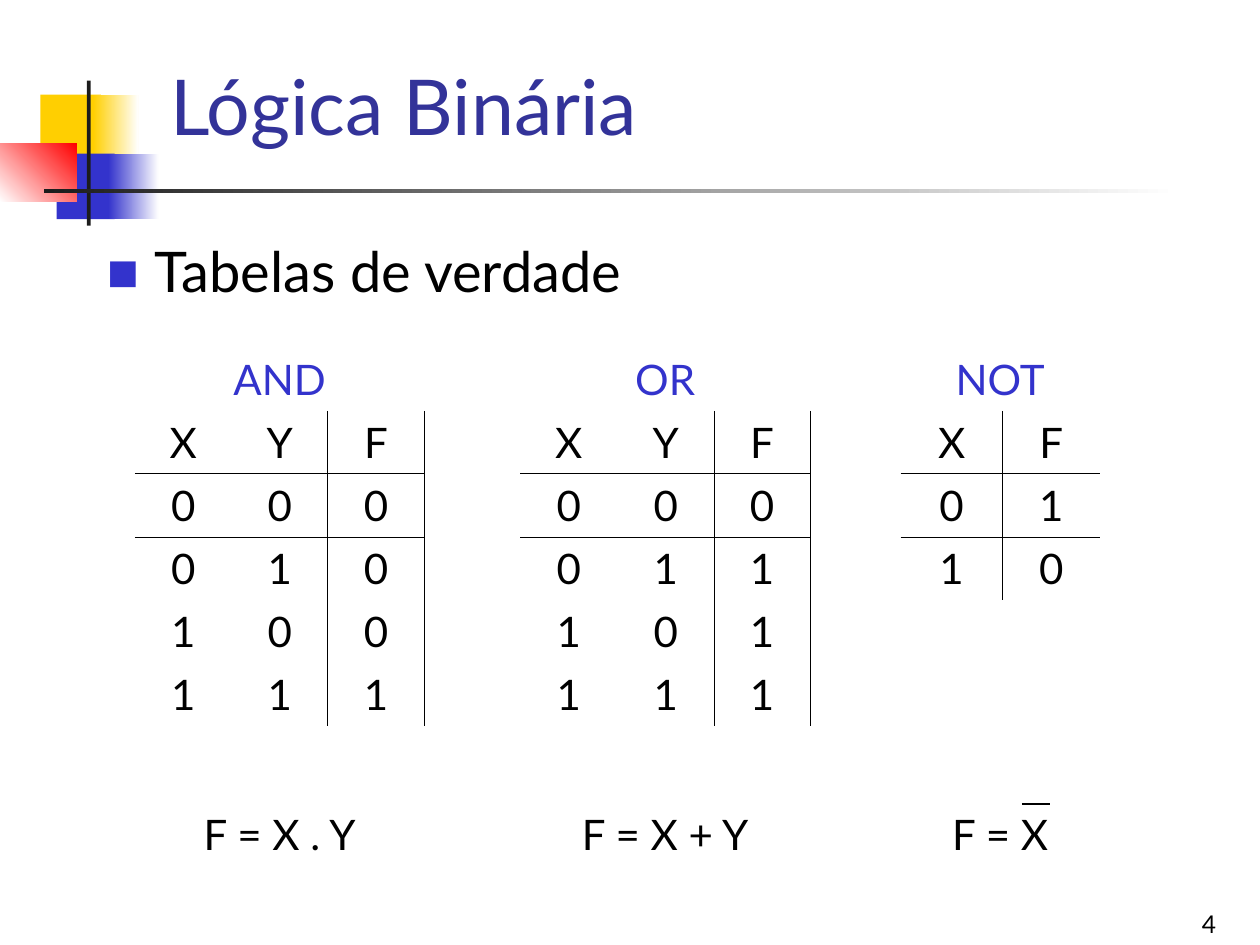
"""Build the slide on truth tables of binary logic."""
from dataclasses import dataclass

from lxml.etree import SubElement
from pptx import Presentation
from pptx.dml.color import RGBColor
from pptx.enum.shapes import MSO_CONNECTOR, MSO_SHAPE
from pptx.enum.text import MSO_ANCHOR, MSO_AUTO_SIZE, PP_ALIGN
from pptx.oxml.ns import qn
from pptx.util import Inches, Pt


@dataclass(frozen=True)
class Theme:
    """Hold the font, colours and type sizes of the slide."""
    font: str = "Lato"
    text: str = "000000"
    title: str = "333399"
    accent: str = "3333CC"
    yellow: str = "FFCF01"
    red: str = "FF0000"
    dark: str = "1C1C1C"
    paper: str = "FFFFFF"
    title_size: int = 44
    body_size: int = 32
    table_size: int = 24
    number_size: int = 14


THEME = Theme()
NO_GRID_STYLE = "{2D5ABB26-0587-4C30-8999-92F81FD0307C}"
COLUMN_WIDTHS = (0.77, 0.76, 0.77, 0.76, 0.77, 0.77, 0.76, 0.72, 0.81, 0.77)
ROW_HEIGHTS = (0.5,) * 6 + (1.11,)
TRUTH_TABLES = (
    (0, "AND", ("XYF", "000", "010", "100", "111"), "F = X . Y"),
    (4, "OR", ("XYF", "000", "011", "101", "111"), "F = X + Y"),
    (8, "NOT", ("XF", "01", "10"), "F = X"),
)
ORNAMENTS = (
    ((0.32, 0.75, 0.48, 0.52), (THEME.yellow,), 0),
    ((0.74, 0.75, 0.36, 0.52), (THEME.yellow, THEME.paper), 0),
    ((0.45, 1.22, 0.46, 0.52), (THEME.accent,), 0),
    ((0.86, 1.22, 0.4, 0.52), (THEME.accent, THEME.paper), 0),
    ((0, 1.14, 0.61, 0.46), (THEME.paper, THEME.red), 45),
    ((0.69, 0.64, 0.03, 1.15), (THEME.dark,), 0),
    ((0.35, 1.5, 9, 0.03), (THEME.dark, THEME.paper), 0),
)


def rgb(code):
    """Turn a hex code into a colour."""
    return RGBColor.from_string(code)


def write(frame, text, size, color=THEME.text, align=PP_ALIGN.LEFT, bullet=None):
    """Write one formatted paragraph into a text frame."""
    frame.word_wrap = True
    paragraph = frame.paragraphs[0]
    paragraph.text = text
    paragraph.alignment = align
    paragraph.space_before = Pt(0)
    if bullet:
        add_bullet(paragraph, bullet)
    font = paragraph.font
    font.name, font.size, font.bold = THEME.font, Pt(size), False
    font.color.rgb = rgb(color)


def add_bullet(paragraph, symbol):
    """Give a paragraph a small accent bullet with a hanging indent."""
    properties = paragraph._p.get_or_add_pPr()
    properties.set("marL", str(Inches(0.38)))
    properties.set("indent", str(-Inches(0.38)))
    bullet_color = SubElement(properties, qn("a:buClr"))
    SubElement(bullet_color, qn("a:srgbClr"), val=THEME.accent)
    SubElement(properties, qn("a:buSzPct"), val="60000")
    SubElement(properties, qn("a:buFont"), typeface=THEME.font)
    SubElement(properties, qn("a:buChar"), char=symbol)


def add_ornament(slide, box, colors, angle):
    """Add a rectangle in one colour or in a blend of two."""
    ornament = slide.shapes.add_shape(MSO_SHAPE.RECTANGLE, *map(Inches, box))
    ornament.shadow.inherit = False
    ornament.line.fill.background()
    if len(colors) == 1:
        ornament.fill.solid()
        ornament.fill.fore_color.rgb = rgb(colors[0])
        return
    ornament.fill.gradient()
    ornament.fill.gradient_angle = angle
    for stop, color in zip(ornament.fill.gradient_stops, colors):
        stop.color.rgb = rgb(color)


def fill_placeholder(placeholder, box, text, size, anchor, **style):
    """Place a template placeholder in front of the ornaments and write in it."""
    placeholder.left, placeholder.top, placeholder.width, placeholder.height = map(Inches, box)
    placeholder.element.getparent().append(placeholder.element)
    placeholder.text_frame.auto_size = MSO_AUTO_SIZE.NONE
    placeholder.text_frame.vertical_anchor = anchor
    write(placeholder.text_frame, text, size, **style)


def add_page_number(slide, number):
    """Add the page number at the bottom right."""
    box = slide.shapes.add_textbox(Inches(7.67), Inches(7), Inches(2.08), Inches(0.5))
    box.text_frame.vertical_anchor = MSO_ANCHOR.BOTTOM
    write(box.text_frame, number, THEME.number_size, align=PP_ALIGN.RIGHT)


def rule_cell(cell, sides):
    """Draw thin borders on the named sides of a cell."""
    properties = cell._tc.get_or_add_tcPr()
    for side in sides:
        border = SubElement(properties, qn(f"a:ln{side}"), w=str(Pt(0.45)))
        solid = SubElement(border, qn("a:solidFill"))
        SubElement(solid, qn("a:srgbClr"), val=THEME.text)


def write_cell(cell, text, color=THEME.text):
    """Write centred text into a table cell."""
    write(cell.text_frame, text, THEME.table_size, color=color, align=PP_ALIGN.CENTER)


def fill_truth_table(grid, start, name, rows, formula):
    """Fill one operator's heading, values and formula in the grid."""
    result = len(rows[0]) - 1
    last_row = len(ROW_HEIGHTS) - 1
    for row in (0, last_row):
        grid.cell(row, start).merge(grid.cell(row, start + result))
    write_cell(grid.cell(0, start), name, THEME.accent)
    formula_cell = grid.cell(last_row, start)
    formula_cell.margin_top = Inches(0.66)
    write_cell(formula_cell, formula)
    for row, values in enumerate(rows, 1):
        for column, value in enumerate(values):
            cell = grid.cell(row, start + column)
            write_cell(cell, value)
            beside_result = {result: "L", result - 1: "R"}.get(column, "")
            beside_header = {1: "B", 2: "T"}.get(row, "")
            rule_cell(cell, beside_result + beside_header)


def add_truth_tables(slide):
    """Add the grid that holds all truth tables."""
    frame = slide.shapes.add_table(
        len(ROW_HEIGHTS), len(COLUMN_WIDTHS), Inches(1.07), Inches(2.76),
        Inches(sum(COLUMN_WIDTHS)), Inches(sum(ROW_HEIGHTS)))
    frame.element.find(f".//{qn('a:tableStyleId')}").text = NO_GRID_STYLE
    grid = frame.table
    grid.first_row = grid.horz_banding = False
    for column, width in zip(grid.columns, COLUMN_WIDTHS):
        column.width = Inches(width)
    for row, height in zip(grid.rows, ROW_HEIGHTS):
        row.height = Inches(height)
    for truth_table in TRUTH_TABLES:
        fill_truth_table(grid, *truth_table)
    for cell in grid.iter_cells():
        cell.fill.background()


def add_negation_bar(slide):
    """Draw the bar over the negated variable."""
    bar = slide.shapes.add_connector(
        MSO_CONNECTOR.STRAIGHT, Inches(8.11), Inches(6.38), Inches(8.33), Inches(6.38))
    bar.line.color.rgb = rgb(THEME.text)
    bar.line.width = Pt(0.75)
    SubElement(bar.element.spPr, qn("a:effectLst"))


def main():
    """Build and save the slide."""
    presentation = Presentation()
    presentation.slide_width, presentation.slide_height = Inches(10), Inches(7.5)
    slide = presentation.slides.add_slide(presentation.slide_layouts[1])
    for ornament in ORNAMENTS:
        add_ornament(slide, *ornament)
    add_page_number(slide, "4")
    fill_placeholder(slide.shapes.title, (1.25, 0, 8.52, 1.25), "Lógica Binária",
                     THEME.title_size, MSO_ANCHOR.BOTTOM, color=THEME.title)
    fill_placeholder(slide.placeholders[1], (0.75, 1.83, 9.04, 5.08), "Tabelas de verdade",
                     THEME.body_size, MSO_ANCHOR.TOP, bullet="■")
    add_truth_tables(slide)
    add_negation_bar(slide)
    presentation.save("out.pptx")


if __name__ == "__main__":
    main()
